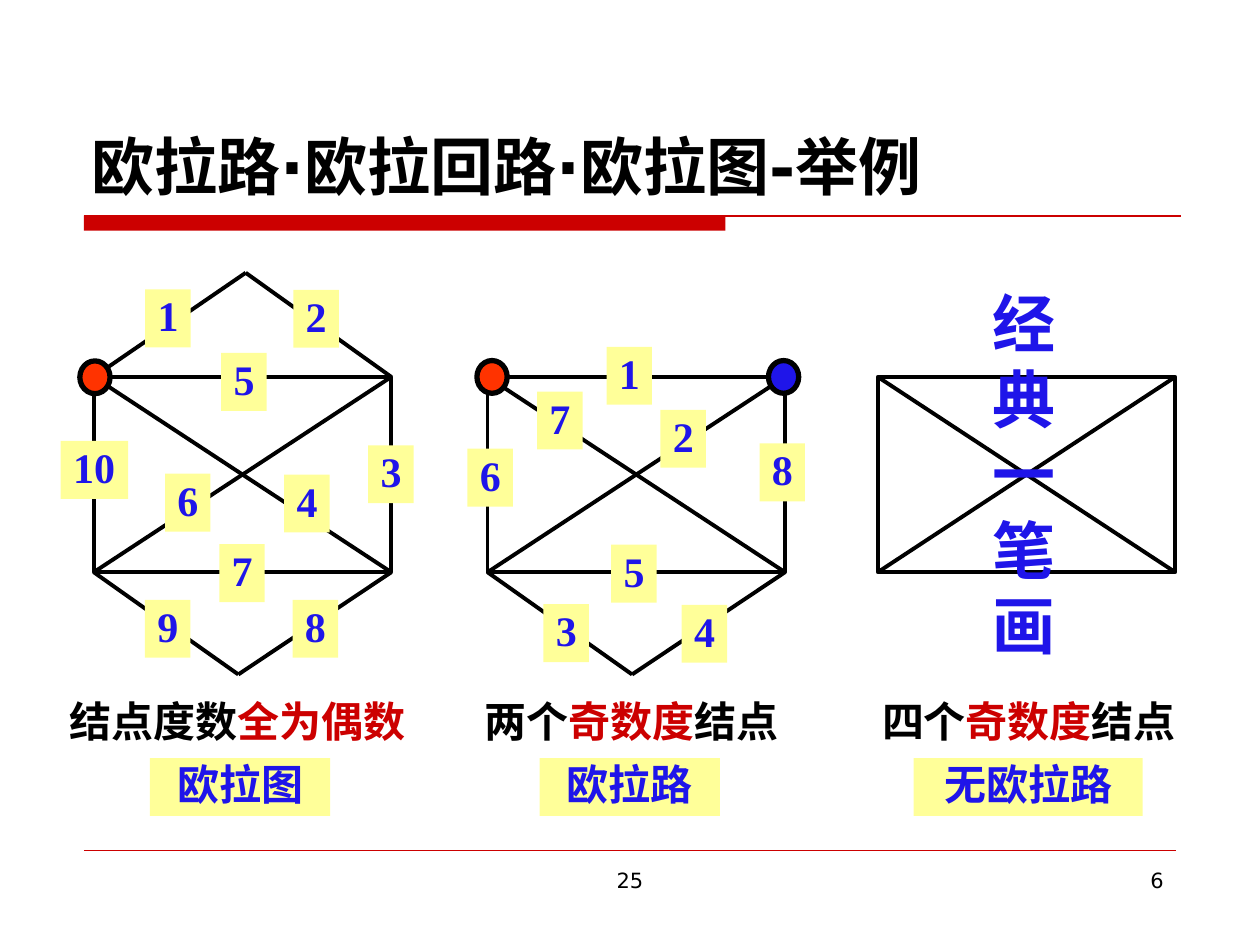
from lxml.etree import SubElement
from pptx import Presentation
from pptx.dml.color import RGBColor
from pptx.enum.lang import MSO_LANGUAGE_ID as LANG
from pptx.enum.shapes import MSO_CONNECTOR as CONN, MSO_SHAPE as SHAPE
from pptx.enum.text import MSO_ANCHOR as ANCHOR, MSO_AUTO_SIZE as FIT, PP_ALIGN as ALIGN
from pptx.oxml.ns import qn
from pptx.util import Pt

# Content
TITLE = "欧拉路·欧拉回路·欧拉图-举例"
DATE, NUMBER = "25", "6"
SIDE_TEXT = ["经典一", "笔", "画"]
COLORS = {"black": "000000", "red": "CC0000", "blue": "1F15E9",
          "yellow": "FFFF99", "orange": "FF3300"}
SANS, SERIF = "DejaVu Sans", "Times New Roman"

# Each graph: left side, tips (roof, base), coloured nodes (x, y, colour),
# edge numbers (left, top), caption (left, width, runs), verdict (left, width, text)
GRAPHS = [
    {"left": 53.6, "tips": ["roof", "base"],
     "nodes": [(54.3, 215.6, "orange")],
     "numbers": [(83, 165.4), (167.6, 165.6), (210.4, 254.5), (162.4, 271.2),
                 (126.4, 201.7), (94.3, 270.7), (125.3, 311), (167.2, 342.8),
                 (82.8, 342.8), (34.7, 252)],
     "caption": (31, 210, [("结点度数", "black"), ("全为偶数", "red")]),
     "verdict": (85.7, 103, "欧拉图")},
    {"left": 278.6, "tips": ["base"],
     "nodes": [(281.2, 215.4, "orange"), (447.8, 215.4, "blue")],
     "numbers": [(346.6, 198.2), (377.4, 234.2), (310.5, 345.3), (389.5, 345.6),
                 (349.2, 311.3), (267.1, 256.4), (306.9, 223.8), (434, 253.4)],
     "caption": (268, 186, [("两个", "black"), ("奇数度", "red"), ("结点", "black")]),
     "verdict": (308.4, 103, "欧拉路")},
    {"left": 501.6, "tips": [], "nodes": [], "numbers": [],
     "caption": (495, 186, [("四个", "black"), ("奇数度", "red"), ("结点", "black")]),
     "verdict": (522, 131, "无欧拉路")},
]

# Graph geometry
TOP, WIDTH, HEIGHT = 215.4, 170, 111.6
TIPS = {"roof": (86.8, -59.5, 0), "base": (82.6, 170, HEIGHT)}  # tip x, tip y, joined side y

prs = Presentation()
prs.slide_width, prs.slide_height = Pt(720), Pt(540)
slide = prs.slides.add_slide(prs.slide_layouts[5])
shapes = slide.shapes


def rgb(name):
    return RGBColor.from_string(COLORS[name])


def add_runs(p, runs, size, font=SANS, bold=True):
    for text, color in runs:
        r = p.add_run()
        r.text = text
        f = r.font
        f.name, f.size, f.bold, f.color.rgb = font, Pt(size), bold, rgb(color)
        f.language_id = LANG.SIMPLIFIED_CHINESE
        SubElement(r._r.get_or_add_rPr(), qn("a:ea"), typeface=font)


def add_line(x1, y1, x2, y2, color="black", weight=2.25):
    c = shapes.add_connector(CONN.STRAIGHT, Pt(x1), Pt(y1), Pt(x2), Pt(y2))
    c.line.color.rgb, c.line.width = rgb(color), Pt(weight)
    SubElement(c._element.spPr, qn("a:effectLst"))


def add_box(kind, x, y, w, h, fill=None, line=None, weight=2.25):
    sp = shapes.add_shape(kind, Pt(x), Pt(y), Pt(w), Pt(h))
    sp.shadow.inherit = False
    if fill:
        sp.fill.solid()
        sp.fill.fore_color.rgb = rgb(fill)
    else:
        sp.fill.background()
    if line:
        sp.line.color.rgb, sp.line.width = rgb(line), Pt(weight)
    else:
        sp.line.fill.background()
    return sp


def add_tag(x, y, w, text, font, align, wrap):
    sp = add_box(SHAPE.RECTANGLE, x, y, w, 33.1, "yellow")
    tf = sp.text_frame
    tf.word_wrap, tf.auto_size = wrap, FIT.SHAPE_TO_FIT_TEXT
    tf.vertical_anchor = ANCHOR.TOP
    p = tf.paragraphs[0]
    p.alignment, p.line_spacing = align, 0.9
    add_runs(p, [(text, "blue")], 24, font)


def add_text(x, y, w, h, paragraphs, size, align, bold=True, wrap=True):
    tf = shapes.add_textbox(Pt(x), Pt(y), Pt(w), Pt(h)).text_frame
    tf.word_wrap = wrap
    for i, runs in enumerate(paragraphs):
        p = tf.add_paragraph() if i else tf.paragraphs[0]
        p.alignment = align
        add_runs(p, runs, size, bold=bold)


# Header bar, footer rule and footer text
add_box(SHAPE.RECTANGLE, 48, 123.2, 366.5, 8.6, "red")
add_line(48, 123.4, 674.6, 123.4, "red", 1)
add_line(48, 486, 672, 486, "red", 0.25)
add_text(246, 492, 228, 37.5, [[(DATE, "black")]], 12, ALIGN.CENTER, bold=False)
add_text(516, 492, 156, 37.5, [[(NUMBER, "black")]], 12, ALIGN.RIGHT, bold=False)

# Title
title = shapes.title
title.left, title.top, title.width, title.height = Pt(45), Pt(23.6), Pt(630), Pt(96)
tf = title.text_frame
tf.vertical_anchor, tf.auto_size, tf.word_wrap = ANCHOR.BOTTOM, FIT.NONE, True
p = tf.paragraphs[0]
p.alignment = ALIGN.LEFT
add_runs(p, [(TITLE, "black")], 36)

# Graphs with their numbers, captions and verdicts
for graph in GRAPHS:
    x = graph["left"]
    right, bottom = x + WIDTH, TOP + HEIGHT
    add_box(SHAPE.RECTANGLE, x, TOP, WIDTH, HEIGHT, line="black")
    add_line(x, TOP, right, bottom)
    add_line(right, TOP, x, bottom)
    for tip in graph["tips"]:
        dx, dy, side = TIPS[tip]
        for corner in (x, right):
            add_line(corner, TOP + side, x + dx, TOP + dy)
    for cx, cy, color in graph["nodes"]:
        add_box(SHAPE.FLOWCHART_CONNECTOR, cx - 8.65, cy - 9.35, 17.3, 18.7,
                color, "black", 3)
    for n, (left, top) in enumerate(graph["numbers"], 1):
        add_tag(left, top, 26 if n < 10 else 38.6, str(n), SERIF, ALIGN.LEFT, False)
    left, width, runs = graph["caption"]
    add_text(left, 394, width, 36, [runs], 24, ALIGN.CENTER, wrap=False)
    left, width, text = graph["verdict"]
    add_tag(left, 433.2, width, text, SANS, ALIGN.CENTER, True)

# Vertical remark over the third graph
add_text(560, 159, 55.5, 223, [[(t, "blue")] for t in SIDE_TEXT], 36, ALIGN.LEFT)

prs.save("out.pptx")
